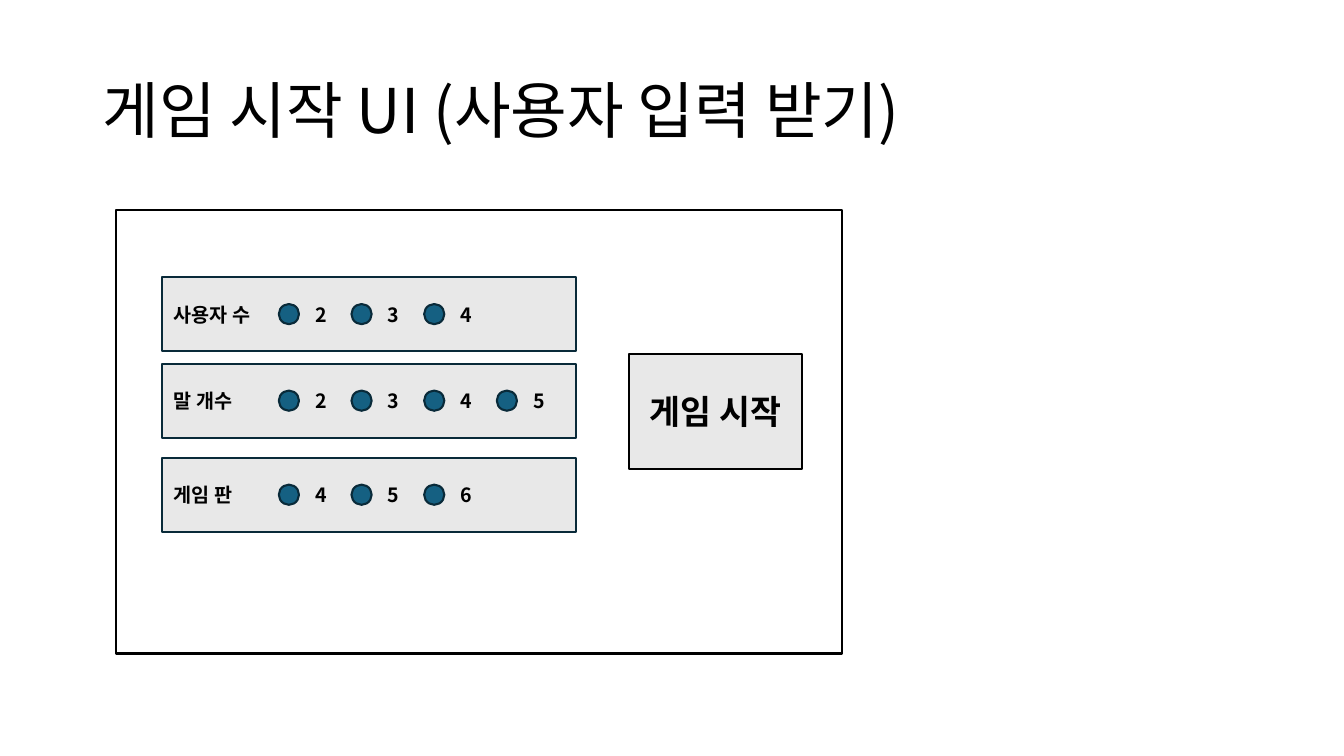
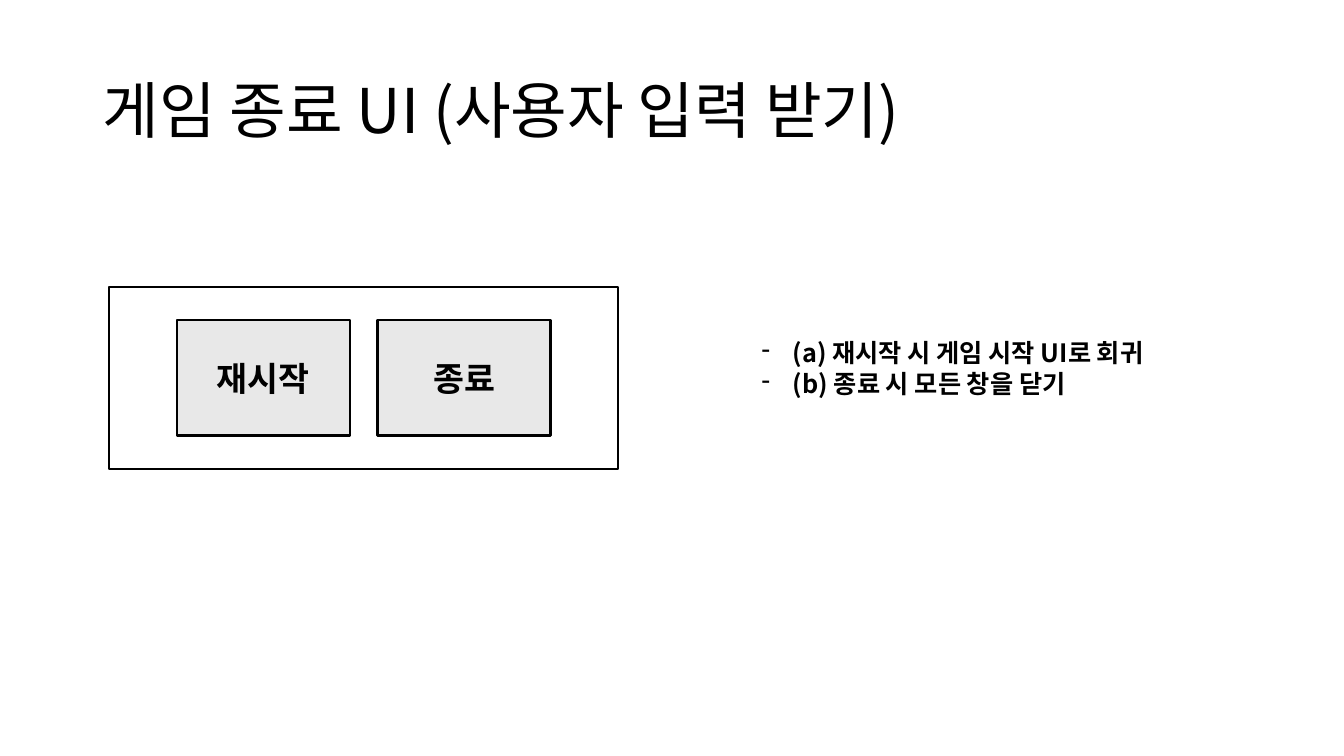
from dataclasses import dataclass

from lxml import etree
from pptx import Presentation
from pptx.dml.color import RGBColor
from pptx.enum.shapes import MSO_SHAPE
from pptx.enum.text import MSO_ANCHOR, MSO_AUTO_SIZE, PP_ALIGN
from pptx.oxml.ns import qn
from pptx.util import Inches, Pt

RECTANGLE, OVAL = MSO_SHAPE.RECTANGLE, MSO_SHAPE.OVAL
LEFT, CENTER = PP_ALIGN.LEFT, PP_ALIGN.CENTER
MIDDLE = MSO_ANCHOR.MIDDLE
NO_AUTOFIT = MSO_AUTO_SIZE.NONE
TITLE_ONLY = 5

# Square grid of twelve cells to the inch
COLUMNS, ROWS = 160, 90
CELL = Inches(1 / 12)


@dataclass(frozen=True)
class Theme:
    font: str = "Noto Sans CJK KR"
    text: str = "000000"
    paper: str = "FFFFFF"
    panel: str = "E8E8E8"
    accent: str = "156082"
    accent_line: str = "092A39"
    outline: float = 1.5
    title_size: int = 44
    button_size: int = 24
    note_size: int = 18
    option_size: int = 14


THEME = Theme()

TITLE_BOX = (11, 4.8, 138, 17.4)
BUTTON_SIZE = (20.6, 13.7)
OPTION_LEFT, OPTION_SIZE = 19.3, (49.3, 8.8)
DOT_LEFT, DOT_PITCH, DOT_SIZE = 33.2, 8.65, 2.4
DIGIT_OFFSET, DIGIT_WIDTH = 3.15, 3.8
LABEL_LEFT, LABEL_WIDTH = 19.5, 13
TEXT_HEIGHT = 4
NOTE_INDENT = Inches(0.31)

OPTION_ROWS = (
    (33, "사용자 수", (2, 3, 4)),
    (43.3, "말 개수", (2, 3, 4, 5)),
    (54.5, "게임 판", (4, 5, 6)),
)
NOTES = ("(a) 재시작 시 게임 시작 UI로 회귀", "(b) 종료 시 모든 창을 닫기")


def cells(*counts):
    return [round(count * CELL) for count in counts]


def centered(start, outer, inner):
    return start + (outer - inner) / 2


def add_run(paragraph, text, size, bold=True):
    run = paragraph.add_run()
    run.text = text
    run.font.name = THEME.font
    run.font.size = Pt(size)
    run.font.bold = bold
    run.font.color.rgb = RGBColor.from_string(THEME.text)
    east_asian = etree.SubElement(run.font._element, qn("a:ea"))
    east_asian.set("typeface", THEME.font)


def add_panel(shapes, box, fill, line=THEME.text, kind=RECTANGLE):
    shape = shapes.add_shape(kind, *cells(*box))
    shape.shadow.inherit = False
    shape.fill.solid()
    shape.fill.fore_color.rgb = RGBColor.from_string(fill)
    shape.line.color.rgb = RGBColor.from_string(line)
    shape.line.width = Pt(THEME.outline)
    return shape


def add_button(shapes, left, top, caption):
    button = add_panel(shapes, (left, top, *BUTTON_SIZE), THEME.panel)
    button.text_frame.vertical_anchor = MIDDLE
    paragraph = button.text_frame.paragraphs[0]
    paragraph.alignment = CENTER
    add_run(paragraph, caption, THEME.button_size)


def add_text_frame(shapes, box):
    frame = shapes.add_textbox(*cells(*box)).text_frame
    frame.word_wrap = True
    frame.vertical_anchor = MIDDLE
    return frame


def add_option_text(shapes, left, top, width, text):
    frame = add_text_frame(shapes, (left, top, width, TEXT_HEIGHT))
    add_run(frame.paragraphs[0], text, THEME.option_size)


def add_option_row(slide, top, label, values):
    """Draw a labelled strip with one radio dot for each value."""
    shapes = slide.shapes.add_group_shape().shapes
    height = OPTION_SIZE[1]
    dot_top = centered(top, height, DOT_SIZE)
    text_top = centered(top, height, TEXT_HEIGHT)
    add_panel(shapes, (OPTION_LEFT, top, *OPTION_SIZE),
              THEME.panel, THEME.accent_line)
    add_option_text(shapes, LABEL_LEFT, text_top, LABEL_WIDTH, label)
    for index, value in enumerate(values):
        left = DOT_LEFT + index * DOT_PITCH
        add_panel(shapes, (left, dot_top, DOT_SIZE, DOT_SIZE),
                  THEME.accent, THEME.accent_line, OVAL)
        add_option_text(shapes, left + DIGIT_OFFSET, text_top,
                        DIGIT_WIDTH, str(value))


def add_button_bar(slide, box, captions, gap):
    """Draw a window with a row of buttons centred in it."""
    shapes = slide.shapes.add_group_shape().shapes
    add_panel(shapes, box, THEME.paper)
    left, top, width, height = box
    button_width, button_height = BUTTON_SIZE
    pitch = button_width + gap
    first = centered(left, width, len(captions) * pitch - gap)
    for index, caption in enumerate(captions):
        add_button(shapes, first + index * pitch,
                   centered(top, height, button_height), caption)


def add_notes_list(slide, box, notes):
    frame = add_text_frame(slide.shapes, box)
    for index, note in enumerate(notes):
        paragraph = frame.add_paragraph() if index else frame.paragraphs[0]
        properties = paragraph._p.get_or_add_pPr()
        properties.set("marL", str(NOTE_INDENT))
        properties.set("indent", str(-NOTE_INDENT))
        etree.SubElement(properties, qn("a:buChar")).set("char", "-")
        add_run(paragraph, note, THEME.note_size)


def add_titled_slide(presentation, text):
    slide = presentation.slides.add_slide(
        presentation.slide_layouts[TITLE_ONLY])
    title = slide.shapes.title
    title.left, title.top, title.width, title.height = cells(*TITLE_BOX)
    frame = title.text_frame
    frame.auto_size = NO_AUTOFIT
    frame.vertical_anchor = MIDDLE
    paragraph = frame.paragraphs[0]
    paragraph.alignment = LEFT
    paragraph.line_spacing = 0.9
    add_run(paragraph, text, THEME.title_size, bold=False)
    return slide


def build_start_slide(presentation):
    slide = add_titled_slide(presentation, "게임 시작 UI (사용자 입력 받기)")
    add_panel(slide.shapes, (13.8, 25, 86.4, 52.8), THEME.paper)
    for top, label, values in OPTION_ROWS:
        add_option_row(slide, top, label, values)
    add_button(slide.shapes, 74.9, 42.1, "게임 시작")


def build_end_slide(presentation):
    slide = add_titled_slide(presentation, "게임 종료 UI (사용자 입력 받기)")
    add_button_bar(slide, (13, 34.2, 60.6, 21.6), ("재시작", "종료"), gap=3.3)
    add_notes_list(slide, (89.5, 8.2, 58.1, 71.2), NOTES)


def main():
    presentation = Presentation()
    presentation.slide_width, presentation.slide_height = cells(COLUMNS, ROWS)
    build_start_slide(presentation)
    build_end_slide(presentation)
    presentation.save("out.pptx")


if __name__ == "__main__":
    main()
